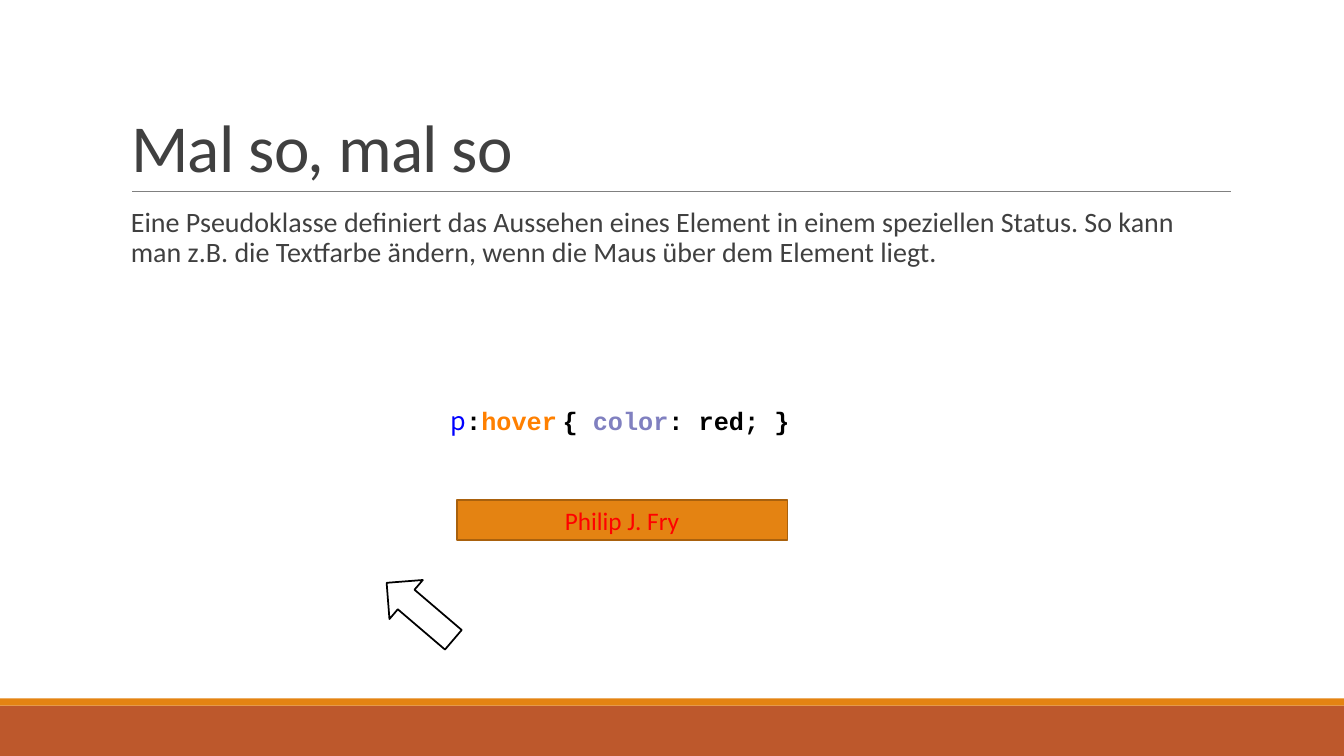
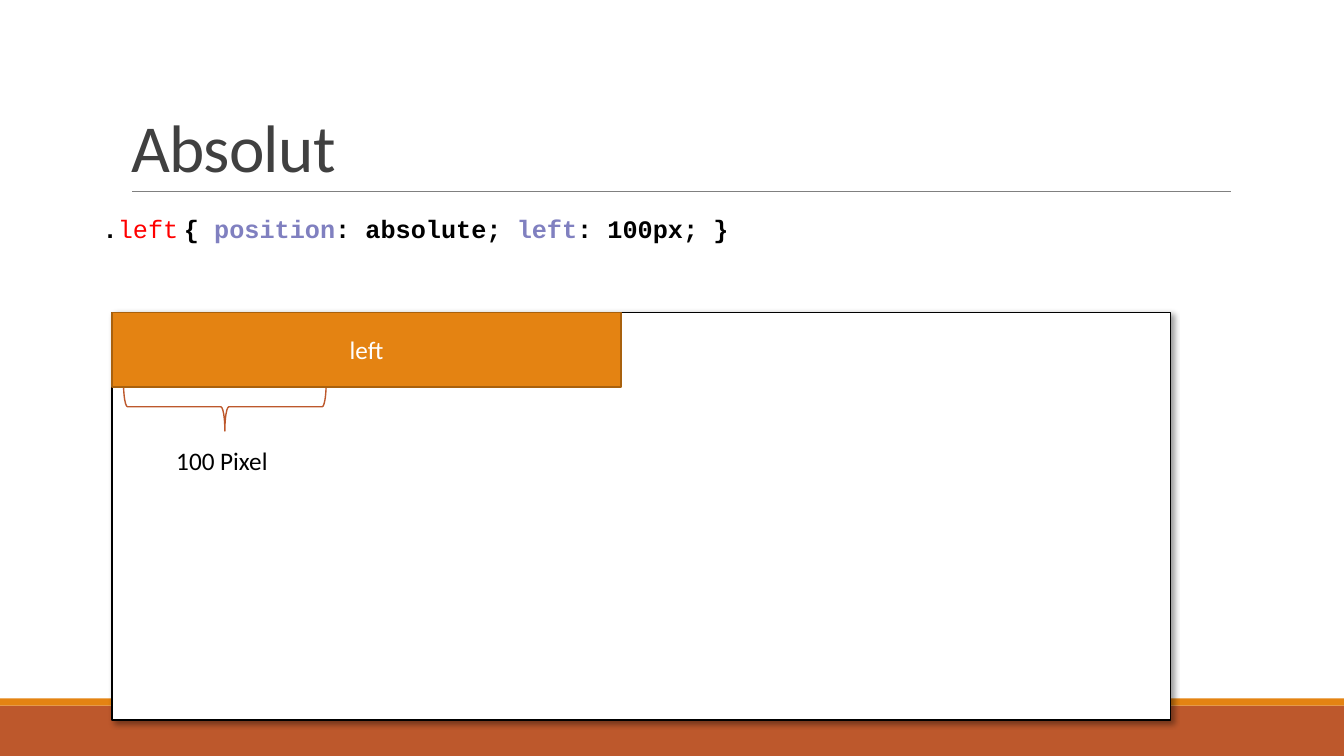
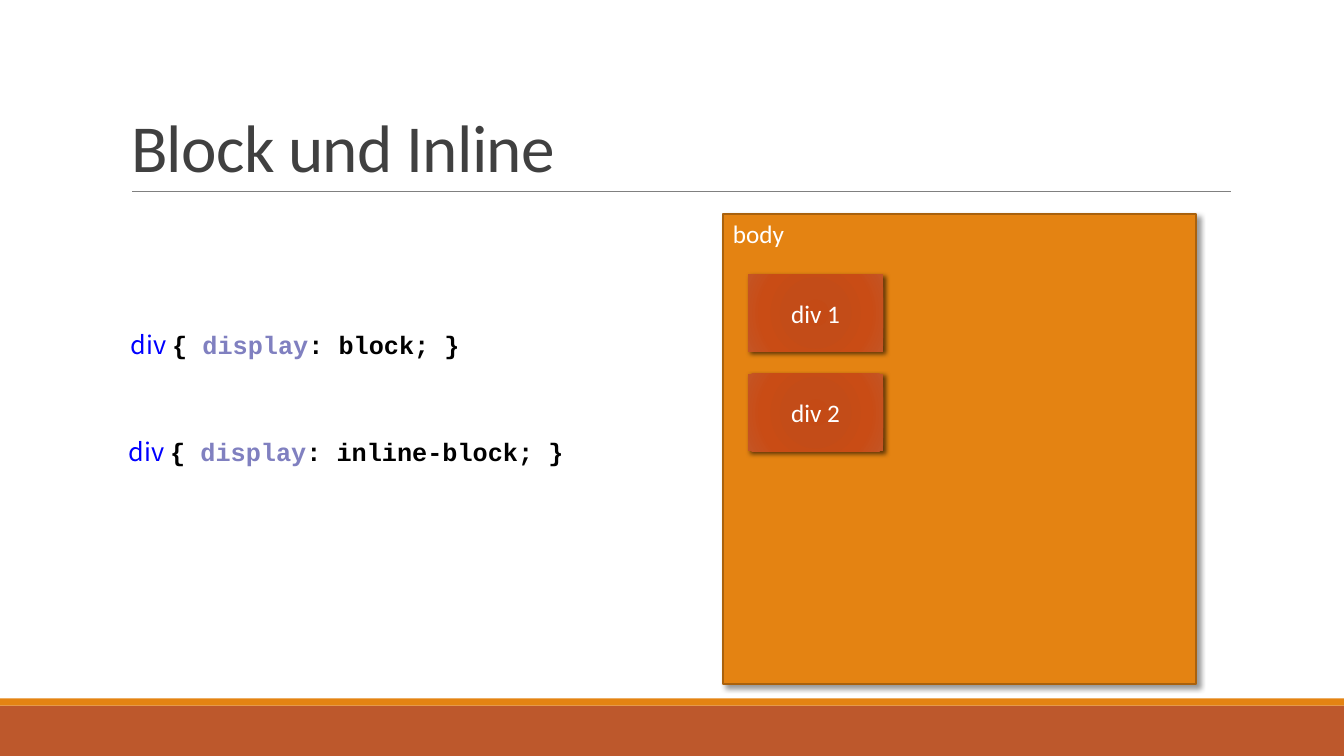
from pptx import Presentation
from pptx.dml.color import RGBColor
from pptx.enum.shapes import MSO_CONNECTOR, MSO_SHAPE as SHAPE
from pptx.enum.text import MSO_ANCHOR as ANCHOR, MSO_AUTO_SIZE as AUTO, PP_ALIGN as ALIGN
from pptx.oxml import parse_xml
from pptx.oxml.ns import nsdecls
from pptx.util import Pt

PX = 9144  # 100 px to the inch
WIDTH, HEIGHT = 1333, 750
COLORS = {
    "rust": "BD582C", "orange": "E48312", "brown": "A9610D", "rule": "808080",
    "ink": "404040", "black": "000000", "white": "FFFFFF", "red": "FF0000",
    "tag": "0000FF", "pseudo": "FF8000", "property": "8080C0",
}
SANS, MONO, TAG = "Calibri", "Courier New", "Noto Sans CJK KR"
SOFT_SHADOW = (40, 4, 3)  # opacity in percent, blur and distance in points
DEEP_SHADOW = (60, 3.5, 2)
DIV_STOPS = [(0, "C44A15"), (34, "C34C18"), (70, "C94C15"), (100, "C45525")]


def rgb(name):
    return RGBColor.from_string(COLORS[name])


def add_box(slide, box, fill=None, line=None, text="", color="white", kind=SHAPE.RECTANGLE,
            weight=1.25, shadow=None):
    shape = slide.shapes.add_shape(kind, *(v * PX for v in box))
    if fill:
        shape.fill.solid()
        shape.fill.fore_color.rgb = rgb(fill)
    else:
        shape.fill.background()
    if line:
        shape.line.color.rgb = rgb(line)
        shape.line.width = Pt(weight)
    else:
        shape.line.fill.background()
    shape.shadow.inherit = False
    if shadow:
        opacity, blur, distance = shadow
        shape.element.spPr.find("{*}effectLst").append(parse_xml(
            f'<a:outerShdw {nsdecls("a")} blurRad="{Pt(blur)}" dist="{Pt(distance)}" '
            f'dir="2700000" algn="tl" rotWithShape="0"><a:srgbClr val="{COLORS["black"]}">'
            f'<a:alpha val="{opacity * 1000}"/></a:srgbClr></a:outerShdw>'))
    if text:
        shape.text_frame.text = text
        paragraph = shape.text_frame.paragraphs[0]
        paragraph.alignment = ALIGN.CENTER
        font = paragraph.runs[0].font
        font.name, font.size, font.color.rgb = SANS, Pt(18), rgb(color)
    return shape


def add_text(slide, box, runs, size=18, wrap=False):
    """Add a text box; each run is (text, font, colour, bold)."""
    frame = slide.shapes.add_textbox(*(v * PX for v in box)).text_frame
    frame.word_wrap = wrap
    frame.auto_size = AUTO.SHAPE_TO_FIT_TEXT
    for text, name, color, bold in runs:
        run = frame.paragraphs[0].add_run()
        run.text = text
        font = run.font
        font.name, font.size, font.bold, font.color.rgb = name, Pt(size), bold, rgb(color)
    return frame


prs = Presentation()
prs.slide_width, prs.slide_height = WIDTH * PX, HEIGHT * PX
layout = prs.slide_layouts[5]

# Titles
slides = []
for heading in ("Mal so, mal so", "Absolut", "Block und Inline"):
    slide = prs.slides.add_slide(layout)
    slides.append(slide)
    title = slide.shapes.title
    title.left, title.top, title.width, title.height = (v * PX for v in (120, 31, 1100, 159))
    frame = title.text_frame
    frame.text = heading
    frame.vertical_anchor = ANCHOR.BOTTOM
    frame.auto_size = AUTO.NONE
    paragraph = frame.paragraphs[0]
    paragraph.alignment, paragraph.line_spacing = ALIGN.LEFT, 0.85
    run = paragraph.runs[0]
    run.font.name, run.font.size, run.font.color.rgb = SANS, Pt(48), rgb("ink")
    run.font._element.set("spc", "-50")
hover_slide, absolute_slide, display_slide = slides

# Bands and title rule, moved into the shared layout
footer_band = add_box(hover_slide, (0, 700, WIDTH, 50), "rust")
accent_band = add_box(hover_slide, (0, 693, WIDTH, 7), "orange")
title_rule = hover_slide.shapes.add_connector(
    MSO_CONNECTOR.STRAIGHT, 131 * PX, 190 * PX, 1221 * PX, 190 * PX)
title_rule.line.color.rgb, title_rule.line.width = rgb("rule"), Pt(0.5)
title_rule.element.spPr.append(parse_xml(f'<a:effectLst {nsdecls("a")}/>'))
for place, part in enumerate((footer_band, accent_band, title_rule), start=2):
    layout.shapes.element.insert(place, part.element)

# Pseudo-class
explanation = add_text(hover_slide, (120, 202, 1100, 74), [
    ("Eine Pseudoklasse definiert das Aussehen eines Element in einem speziellen Status. "
     "So kann man z.B. die Textfarbe ändern, wenn die Maus über dem Element liegt.",
     SANS, "ink", False)], size=20, wrap=True)
explanation.margin_left, explanation.margin_right = 10 * PX, 0
explanation.paragraphs[0].line_spacing = 0.9
add_text(hover_slide, (437, 397, 360, 40), [
    ("p", TAG, "tag", False), (":", MONO, "black", True), ("hover", MONO, "pseudo", True),
    (" ", TAG, "pseudo", True), ("{ ", MONO, "black", True),
    ("color", MONO, "property", True), (": red; }", MONO, "black", True)])
add_box(hover_slide, (453, 496, 328, 40), "orange", "brown", "Philip J. Fry", "red")
pointer = add_box(hover_slide, (373, 581, 87, 51), "white", "black", kind=SHAPE.LEFT_ARROW)
pointer.rotation = 40.5

# Absolute position
add_box(absolute_slide, (111, 310, 1050, 404), "white", "black", shadow=SOFT_SHADOW)
add_text(absolute_slide, (92, 207, 662, 40), [
    (".", MONO, "black", True), ("left", MONO, "red", False), (" ", TAG, "red", False),
    ("{", MONO, "black", True), (" position", MONO, "property", True),
    (": absolute;", MONO, "black", True), (" left", MONO, "property", True),
    (": 100px; }", MONO, "black", True)])
offset_brace = add_box(absolute_slide, (199, 303, 48, 201), line="rust",
                       kind=SHAPE.LEFT_BRACE, weight=1)
offset_brace.rotation = 270
add_text(absolute_slide, (165, 437, 116, 40), [("100 Pixel", SANS, "black", False)], wrap=True)
add_box(absolute_slide, (111, 310, 505, 74), "orange", "brown", "left")

# Block and inline
for left, top, width, value in ((120, 322, 351, "block"), (118, 428, 457, "inline-block")):
    add_text(display_slide, (left, top, width, 40), [
        ("div ", TAG, "tag", False), ("{ ", MONO, "black", True),
        ("display", MONO, "property", True), (f": {value}; }}", MONO, "black", True)])
body = add_box(display_slide, (717, 212, 469, 467), "orange", "brown", "body",
               shadow=SOFT_SHADOW)
body.text_frame.vertical_anchor = ANCHOR.TOP
body.text_frame.paragraphs[0].alignment = ALIGN.LEFT
stops = "".join(f'<a:gs pos="{position * 1000}"><a:srgbClr val="{color}"/></a:gs>'
                for position, color in DIV_STOPS)
for index in range(2):
    div = add_box(display_slide, (742, 272 + 99 * index, 134, 77), text=f"div {index + 1}",
                  shadow=DEEP_SHADOW)
    properties = div.element.spPr
    properties.replace(properties.find("{*}noFill"), parse_xml(
        f'<a:gradFill {nsdecls("a")} rotWithShape="1"><a:gsLst>{stops}</a:gsLst>'
        '<a:path path="circle"><a:fillToRect l="100000" t="100000" r="100000" b="100000"/>'
        '</a:path></a:gradFill>'))

prs.save("out.pptx")
